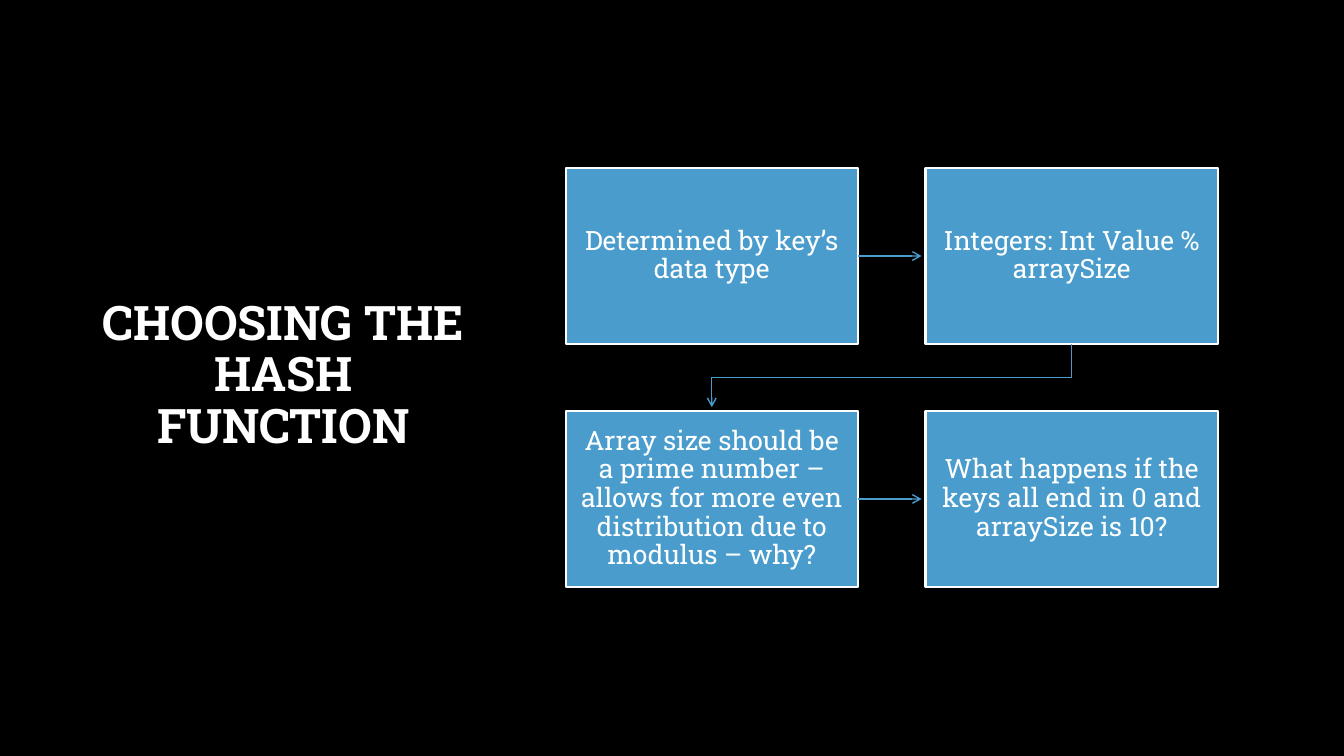
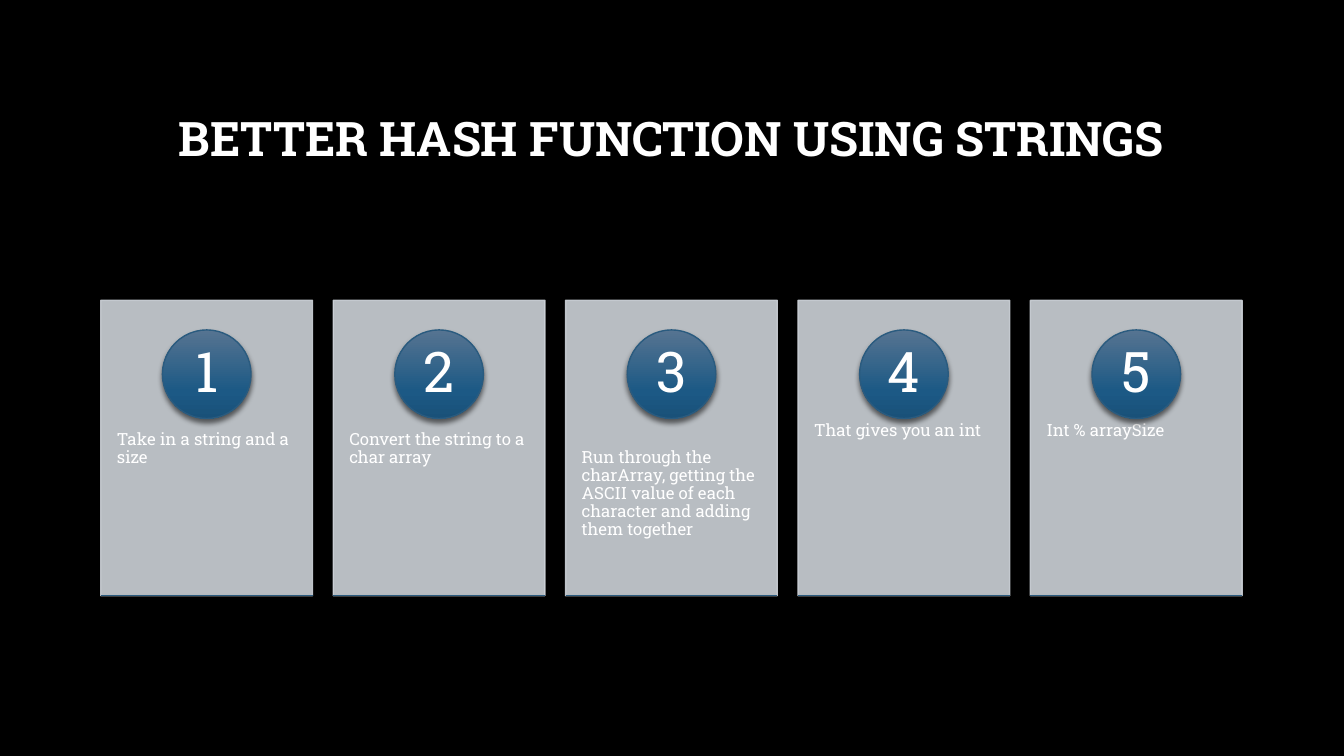
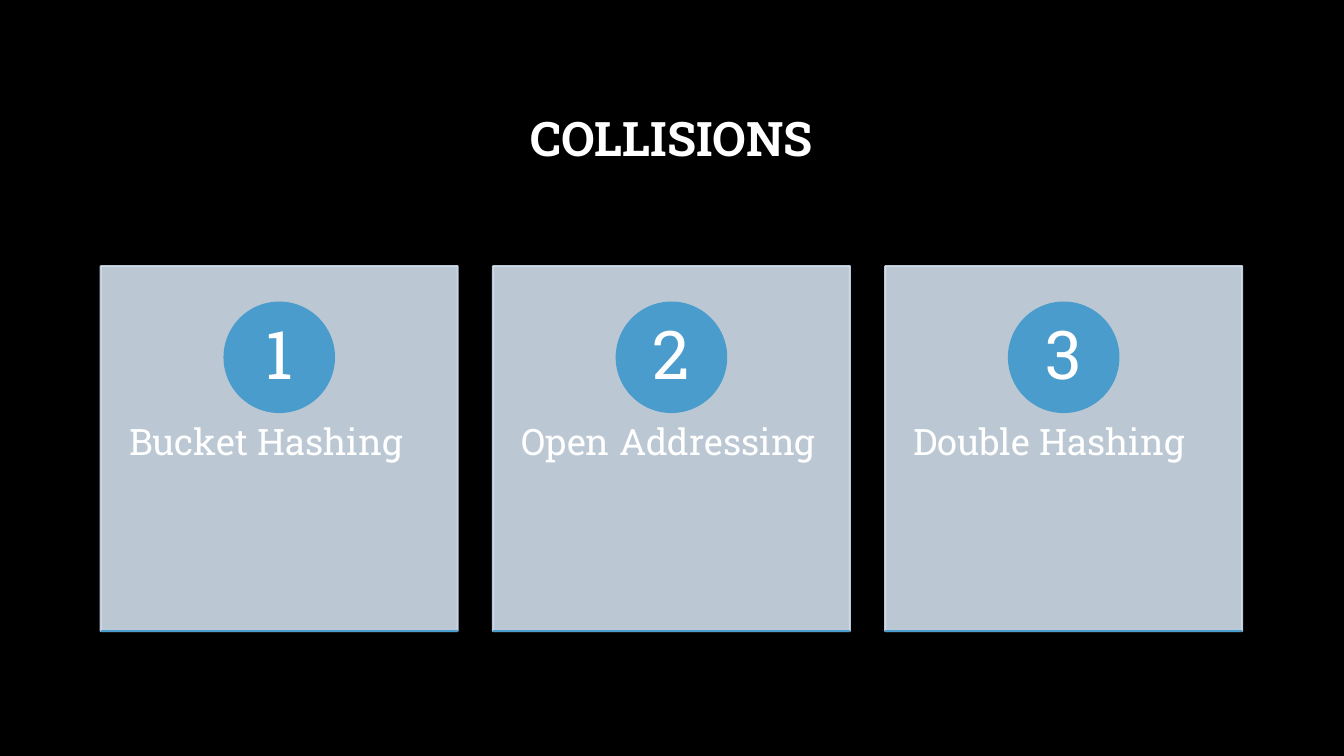
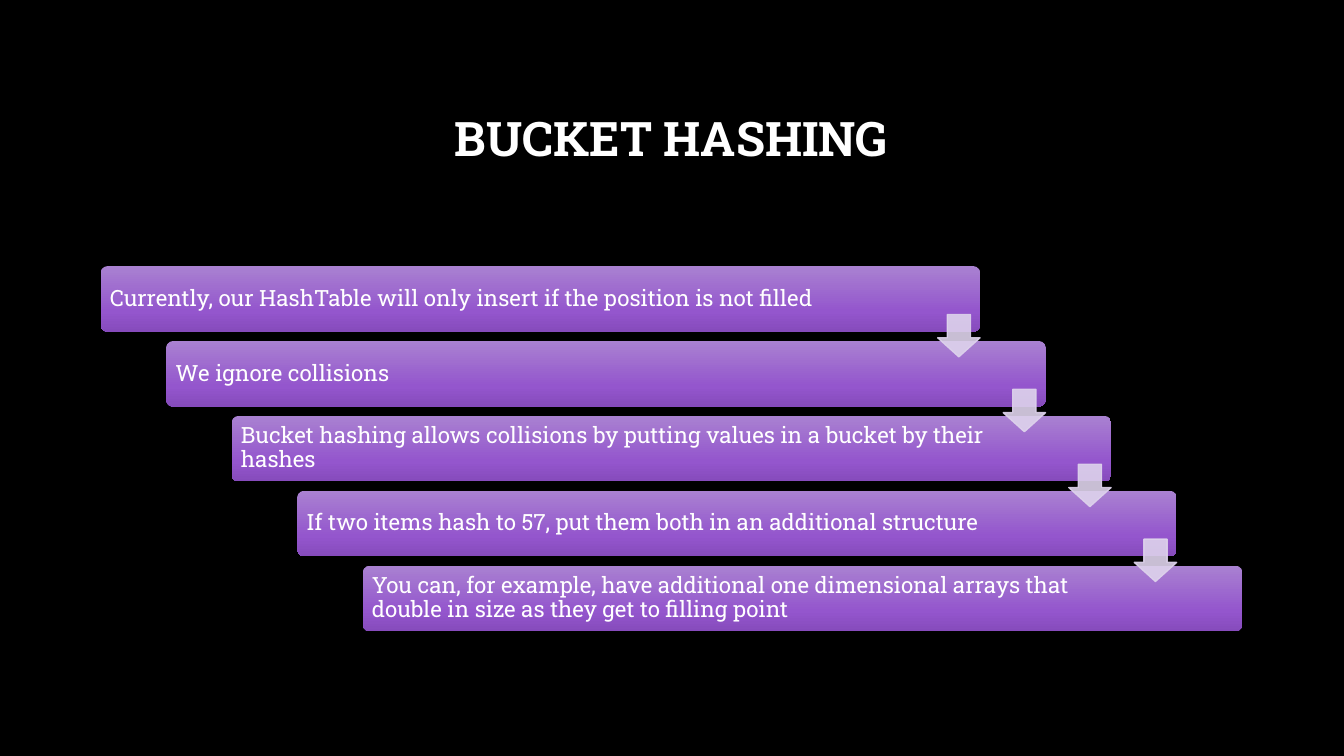
from pptx import Presentation
from pptx.dml.color import RGBColor
from pptx.enum import shapes, text
from pptx.oxml import ns
from pptx.util import Inches, Pt
from lxml import etree

# Shared look
COLORS = {
    "background": "000000", "text": "FFFFFF", "blue": "4A9CCC",
    "gray card": "CDD2D8", "blue card": "D0DEEC", "navy line": "2A5B7F",
    "arrow": "DED3EC", "shadow": "000000",
}
GRADIENTS = {
    "navy": ((0, "567491"), (69, "1C5985"), (100, "195179")),
    "purple": ((0, "A981D1"), (69, "9456CD"), (100, "864BBC")),
}
FONT = "Roboto Slab"
WIDTH, HEIGHT = 13.33, 7.5
LEFT, CONTENT_WIDTH = 1, 11.32
TITLE_AREA = (LEFT, 0.67, CONTENT_WIDTH, 1.45)
SIDE_TITLE_AREA = (0.82, 0.67, 3.98, 6.13)
CENTER, START = text.PP_ALIGN.CENTER, text.PP_ALIGN.LEFT
MIDDLE, TOP = text.MSO_ANCHOR.MIDDLE, text.MSO_ANCHOR.TOP


def set_all(target, values):
    for name, value in values.items():
        setattr(target, name, value)


def add_xml(parent, tag, **attributes):
    values = {name: str(value) for name, value in attributes.items()}
    return etree.SubElement(parent, ns.qn(tag), values)


# Fills, lines and effects
def set_color(fill, color, opacity=100):
    fill.solid()
    fill.fore_color.rgb = RGBColor.from_string(COLORS[color])
    return opacity


def set_opacity(element, opacity):
    for color in element.iter(ns.qn("a:srgbClr")):
        add_xml(color, "a:alpha", val=opacity * 1000)


def set_gradient(shape, gradient):
    shape.fill.gradient()
    shape.fill.gradient_angle = 270
    stops = shape._element.spPr.find(".//" + ns.qn("a:gsLst"))
    for stop in list(stops):
        stops.remove(stop)
    for position, color in GRADIENTS[gradient]:
        stop = add_xml(stops, "a:gs", pos=position * 1000)
        add_xml(stop, "a:srgbClr", val=color)


def add_shadow(properties):
    effects = properties.find(ns.qn("a:effectLst"))
    shadow = add_xml(effects, "a:outerShdw", blurRad=Pt(4), dist=Pt(3),
                     dir=90 * 60000, algn="ctr", rotWithShape=0)
    color = add_xml(shadow, "a:srgbClr", val=COLORS["shadow"])
    add_xml(color, "a:alpha", val=54000)


def set_line(line, color, width, arrow=False):
    set_color(line.fill, color)
    line.width = Pt(width)
    if arrow:
        add_xml(line._get_or_add_ln(), "a:tailEnd", type="arrow")


# Elements
def write(shape, words, size, align=CENTER, anchor=MIDDLE,
          insets=(0.1, 0.05, 0.1, 0.05), bold=False):
    frame = shape.text_frame
    sides = ("margin_left", "margin_top", "margin_right", "margin_bottom")
    margins = {side: Inches(inset) for side, inset in zip(sides, insets)}
    set_all(frame, {"word_wrap": True, "vertical_anchor": anchor, **margins})
    paragraph = frame.paragraphs[0]
    set_all(paragraph, {"alignment": align, "line_spacing": 0.9})
    run = paragraph.add_run()
    run.text = words
    set_all(run.font, {"name": FONT, "size": Pt(size), "bold": bold})
    run.font.color.rgb = RGBColor.from_string(COLORS["text"])


def add_text(slide, area, words, size, **layout):
    box = slide.shapes.add_textbox(*map(Inches, area))
    write(box, words, size, **layout)


def add_shape(slide, kind, area, fill, line=None, width=1, opacity=100):
    shape = slide.shapes.add_shape(kind, *map(Inches, area))
    shape.shadow.inherit = False
    if fill in GRADIENTS:
        set_gradient(shape, fill)
        add_shadow(shape._element.spPr)
    else:
        set_color(shape.fill, fill)
    if line:
        set_line(shape.line, line, width)
    else:
        shape.line.fill.background()
    if opacity < 100:
        set_opacity(shape._element.spPr, opacity)
    return shape


def add_line(slide, start, end, color, width, arrow=False, shadow=False):
    points = map(Inches, (*start, *end))
    line = slide.shapes.add_connector(shapes.MSO_CONNECTOR.STRAIGHT, *points)
    set_line(line.line, color, width, arrow)
    add_xml(line._element.spPr, "a:effectLst")
    if shadow:
        add_shadow(line._element.spPr)


def add_bent_arrow(slide, points, color, width):
    corners = [tuple(map(Inches, point)) for point in points]
    builder = slide.shapes.build_freeform(*corners[0])
    builder.add_line_segments(corners[1:], close=False)
    path = builder.convert_to_shape()
    path.shadow.inherit = False
    path.fill.background()
    set_line(path.line, color, width, arrow=True)


def add_slide(presentation, title, area=TITLE_AREA):
    slide = presentation.slides.add_slide(presentation.slide_layouts[6])
    set_color(slide.background.fill, "background")
    add_text(slide, area, title, 34, bold=True)
    return slide


# Groups of elements
def add_flow(slide, rows):
    left, top, width, height = 5.61, 1.67, 2.9, 1.74
    column_step, row_step, reach = 3.57, 2.41, 0.63
    for row, steps in enumerate(rows):
        y = top + row * row_step
        for column, words in enumerate(steps):
            x = left + column * column_step
            box = add_shape(slide, shapes.MSO_SHAPE.RECTANGLE,
                            (x, y, width, height), "blue", "text", 1.5)
            write(box, words, 19, insets=(0.14, 0.15, 0.14, 0.15))
        middle, edge = y + height / 2, left + width
        add_line(slide, (edge, middle), (edge + reach, middle), "blue", 1,
                 arrow=True)
    target = left + width / 2
    source, bottom = target + column_step, top + height
    bend = top + (height + row_step) / 2
    add_bent_arrow(slide, [(source, bottom), (source, bend), (target, bend),
                           (target, bottom + reach)], "blue", 1)


def add_cards(slide, labels, style):
    top, width, height = style["top"], style["width"], style["height"]
    step = (CONTENT_WIDTH - width) / (len(labels) - 1)
    diameter, bottom = 0.3 * height, top + height
    inset, weight = style["inset"], style["weight"]
    for index, label in enumerate(labels):
        x = LEFT + index * step
        add_shape(slide, shapes.MSO_SHAPE.RECTANGLE, (x, top, width, height),
                  style["card"], style["card"], weight, opacity=90)
        add_text(slide, (x, top + 0.38 * height, width, 0.6 * height), label,
                 style["size"], align=START, anchor=TOP,
                 insets=(inset, 0.36, inset, 0.36))
        circle = add_shape(slide, shapes.MSO_SHAPE.OVAL,
                           (x + (width - diameter) / 2, top + 0.1 * height,
                            diameter, diameter),
                           style["badge"], style["line"], weight)
        write(circle, str(index + 1), style["number"],
              insets=(0.07, 0.01, 0.07, 0.01))
        add_line(slide, (x, bottom), (x + width, bottom), style["line"],
                 weight, shadow=style["badge"] in GRADIENTS)


def add_staircase(slide, steps):
    top, width, height = 2.64, 8.72, 0.65
    x_step = (CONTENT_WIDTH - width) / (len(steps) - 1)
    y_step, arrow_size = 0.743, 0.42
    places = [(LEFT + index * x_step, top + index * y_step)
              for index in range(len(steps))]
    for (x, y), words in zip(places, steps):
        bar = add_shape(slide, shapes.MSO_SHAPE.ROUNDED_RECTANGLE,
                        (x, y, width, height), "purple")
        bar.adjustments[0] = 0.1
        write(bar, words, 16, align=START, insets=(0.07, 0.07, 1.14, 0.07))
    for x, y in places[:-1]:
        arrow = add_shape(slide, shapes.MSO_SHAPE.DOWN_ARROW,
                          (x + width - arrow_size, y + 0.48,
                           arrow_size, arrow_size),
                          "arrow", "arrow", opacity=90)
        arrow.adjustments[0], arrow.adjustments[1] = 0.55, 0.45


GRAY_CARDS = {
    "top": 2.98, "width": 2.1, "height": 2.93, "card": "gray card",
    "badge": "navy", "line": "navy line", "weight": 1,
    "size": 12, "number": 40, "inset": 0.16,
}
BLUE_CARDS = {
    "top": 2.64, "width": 3.54, "height": 3.62, "card": "blue card",
    "badge": "blue", "line": "blue", "weight": 1.5,
    "size": 26, "number": 48, "inset": 0.28,
}


def main():
    presentation = Presentation()
    set_all(presentation, {"slide_width": Inches(WIDTH),
                           "slide_height": Inches(HEIGHT)})

    # Choosing the hash function
    slide = add_slide(presentation, "CHOOSING THE HASH FUNCTION",
                      SIDE_TITLE_AREA)
    add_flow(slide, [
        ("Determined by key’s data type", "Integers: Int Value % arraySize"),
        ("Array size should be a prime number – allows for more even "
         "distribution due to modulus – why?",
         "What happens if the keys all end in 0 and arraySize is 10?"),
    ])

    # Hashing strings
    slide = add_slide(presentation, "BETTER HASH FUNCTION USING STRINGS")
    add_cards(slide, [
        "Take in a string and a size",
        "Convert the string to a char array",
        "Run through the charArray, getting the ASCII value of each "
        "character and adding them together",
        "That gives you an int",
        "Int % arraySize",
    ], GRAY_CARDS)

    # Collisions
    slide = add_slide(presentation, "COLLISIONS")
    add_cards(slide, ["Bucket Hashing", "Open Addressing", "Double Hashing"],
              BLUE_CARDS)

    # Bucket hashing
    slide = add_slide(presentation, "BUCKET HASHING")
    add_staircase(slide, [
        "Currently, our HashTable will only insert if the position is not "
        "filled",
        "We ignore collisions",
        "Bucket hashing allows collisions by putting values in a bucket by "
        "their hashes",
        "If two items hash to 57, put them both in an additional structure",
        "You can, for example, have additional one dimensional arrays that "
        "double in size as they get to filling point",
    ])

    presentation.save("out.pptx")


main()
